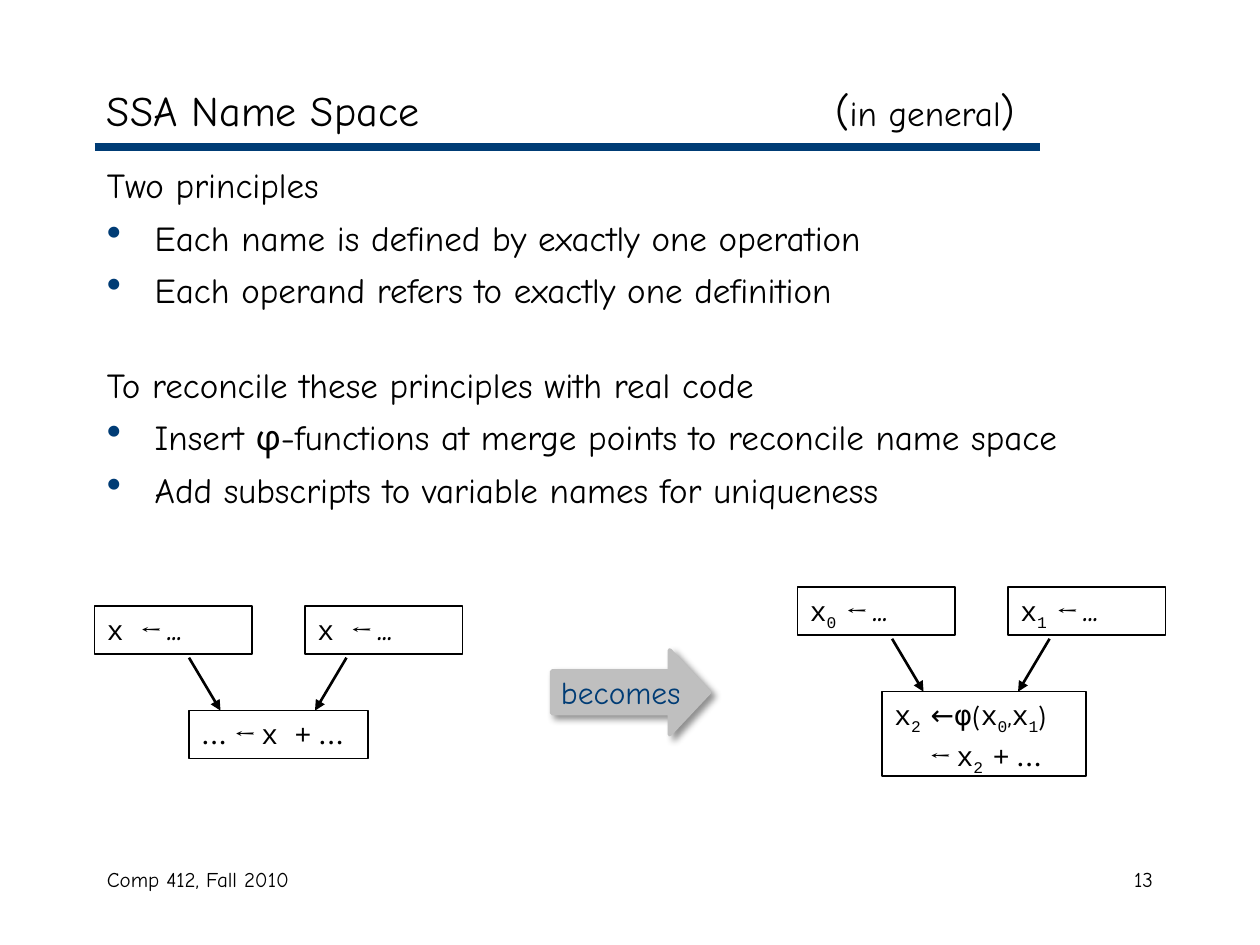
from lxml import etree
from pptx import Presentation
from pptx import util as u
from pptx.dml.color import RGBColor
from pptx.enum import shapes, text
from pptx.oxml import parse_xml
from pptx.oxml.ns import nsdecls, qn

THEME = {
    "ink": "000000", "accent": "003C75", "arrow": "BFBFBF",
    "main": "Comic Neue", "code": "Courier New", "math": "Cambria", "sym": "League Spartan",
    "title": 24, "body": 20, "label": 18, "box": 16, "footer": 12,
}

# Content
TITLE = [("SSA Name Space\t(", "title"), ("in general", "body"), (")", "title")]
BODY = [  # text, bulleted, space before in points
    ("Two principles", False, 0),
    ("Each name is defined by exactly one operation", True, 6),
    ("Each operand refers to exactly one definition", True, 6),
    ("To reconcile these principles with real code", False, 30),
    ("Insert φ-functions at merge points to reconcile name space", True, 6),
    ("Add subscripts to variable names for uniqueness", True, 6),
]
FOOTERS = [  # text, left, width, alignment
    ("Comp 412, Fall 2010", 0.75, 3.17, text.PP_ALIGN.LEFT),
    ("13", 7.17, 2.08, text.PP_ALIGN.RIGHT),
]
# Runs are (text, style): code, sub (lowered code), math (italic), sym, main
ASSIGN = ("← ...", "math")
DIAGRAMS = [
    {"origin": (0.75, 4.81),
     "defs": [[("x ", "code"), ASSIGN], [("x ", "code"), ASSIGN]],
     "merge": (0.75, 1.42, 0.38),  # offset from origin, width, height
     "lines": [[("... ", "sym"), ("← ", "math"), ("x +", "code"), (" ...", "sym")]]},
    {"origin": (6.33, 4.66),
     "defs": [[("x", "code"), ("0 ", "sub"), ASSIGN], [("x", "code"), ("1 ", "sub"), ASSIGN]],
     "merge": (0.67, 1.62, 0.67),
     "lines": [
         [("x", "code"), ("2 ", "sub"), ("←φ(", "sym"), ("x", "code"), ("0", "sub"),
          (",", "main"), ("x", "code"), ("1", "sub"), (")", "sym")],
         [("← ", "math"), ("x", "code"), ("2 ", "sub"), ("+", "code"), (" ...", "sym")]]},
]
DEF_W, DEF_H, DEF_STEP, MERGE_DROP = 1.25, 0.38, 1.67, 0.83
EDGES = [(0.75, 1.0), (2.0, 1.75)]  # start and end x from the origin
EDGE_TOP = 0.41


def color(key):
    return RGBColor.from_string(THEME[key])


def add_run(p, words, size, font="main", ink="ink"):
    r = p.add_run()
    r.text = words
    r.font.name, r.font.size = THEME[font], u.Pt(THEME[size])
    r.font.color.rgb = color(ink)
    return r


def add_code_run(p, words, style):
    r = add_run(p, words, "box", "code" if style == "sub" else style)
    if style == "math":
        r.font.italic = True
    if style == "sub":
        r.font._element.set("baseline", "-25000")


def add_text(s, x, y, w, h, anchor=text.MSO_ANCHOR.TOP):
    tf = s.shapes.add_textbox(*map(u.Inches, (x, y, w, h))).text_frame
    tf.word_wrap = True
    tf.vertical_anchor = anchor
    return tf


def add_line(s, x1, y1, x2, y2, ink, width, arrow=False):
    c = s.shapes.add_connector(shapes.MSO_CONNECTOR.STRAIGHT, *map(u.Inches, (x1, y1, x2, y2)))
    c.line.color.rgb, c.line.width = color(ink), u.Pt(width)
    if arrow:
        etree.SubElement(c.line._get_or_add_ln(), qn("a:tailEnd"), type="triangle")
    etree.SubElement(c._element.spPr, qn("a:effectLst"))


def add_box(s, x, y, w, h, lines):
    sp = s.shapes.add_shape(shapes.MSO_SHAPE.RECTANGLE, *map(u.Inches, (x, y, w, h)))
    sp.shadow.inherit = False
    sp.fill.background()
    sp.line.color.rgb, sp.line.width = color("ink"), u.Pt(0.75)
    tf = sp.text_frame
    tf.word_wrap = True
    tf.vertical_anchor = text.MSO_ANCHOR.TOP
    for i, runs in enumerate(lines):
        p = tf.add_paragraph() if i else tf.paragraphs[0]
        p.alignment = text.PP_ALIGN.LEFT
        if i:
            p.space_before = u.Pt(1.6)
            p._p.get_or_add_pPr().set("marL", str(u.Inches(0.28)))
        for words, style in runs:
            add_code_run(p, words, style)


def add_bullet(pPr):
    clr = etree.SubElement(pPr, qn("a:buClr"))
    etree.SubElement(clr, qn("a:srgbClr"), val=THEME["accent"])
    etree.SubElement(pPr, qn("a:buSzPct"), val="120000")
    etree.SubElement(pPr, qn("a:buChar"), char="•")


prs = Presentation()
prs.slide_width, prs.slide_height = u.Inches(10), u.Inches(7.5)
s = prs.slides.add_slide(prs.slide_layouts[6])

# Title, with its remark at a tab stop, and rule
add_line(s, 0.75, 1.17, 8.25, 1.17, "accent", 4.5)
p = add_text(s, 0.75, 0.58, 8.5, 0.58, text.MSO_ANCHOR.MIDDLE).paragraphs[0]
tabs = etree.SubElement(p._p.get_or_add_pPr(), qn("a:tabLst"))
etree.SubElement(tabs, qn("a:tab"), pos=str(u.Inches(5.78)), algn="l")
for words, size in TITLE:
    add_run(p, words, size)

# Principles
tf = add_text(s, 0.75, 1.25, 8.5, 5.42)
for i, (words, bulleted, before) in enumerate(BODY):
    p = tf.add_paragraph() if i else tf.paragraphs[0]
    pPr = p._p.get_or_add_pPr()
    pPr.set("marL", str(u.Inches(0.38)))
    pPr.set("indent", str(u.Inches(-0.38)))
    if bulleted:
        add_bullet(pPr)
    p.space_before = u.Pt(before)
    add_run(p, words, "body")

# Flow graphs before and after renaming
for d in DIAGRAMS:
    x, y = d["origin"]
    for i, runs in enumerate(d["defs"]):
        add_box(s, x + i * DEF_STEP, y, DEF_W, DEF_H, [runs])
    dx, w, h = d["merge"]
    add_box(s, x + dx, y + MERGE_DROP, w, h, d["lines"])
    for start, end in EDGES:
        add_line(s, x + start, y + EDGE_TOP, x + end, y + MERGE_DROP, "ink", 1.5, arrow=True)

# Block arrow between the graphs
sp = s.shapes.add_shape(shapes.MSO_SHAPE.RIGHT_ARROW, *map(u.Inches, (4.38, 5.16, 1.25, 0.67)))
sp.adjustments[0], sp.adjustments[1] = 0.5, 0.47
sp.fill.solid()
sp.fill.fore_color.rgb = color("arrow")
sp.line.color.rgb, sp.line.width = color("arrow"), u.Pt(2.25)
sp._element.spPr.append(parse_xml(
    f'<a:effectLst {nsdecls("a")}><a:outerShdw blurRad="{u.Pt(4)}" dist="{u.Pt(3)}" dir="2700000">'
    f'<a:srgbClr val="{THEME["ink"]}"><a:alpha val="43000"/></a:srgbClr></a:outerShdw></a:effectLst>'))
sp.text_frame.word_wrap = False
sp.text_frame.vertical_anchor = text.MSO_ANCHOR.MIDDLE
p = sp.text_frame.paragraphs[0]
p.alignment = text.PP_ALIGN.CENTER
add_run(p, "becomes", "label", ink="accent")

# Footer
for words, x, w, align in FOOTERS:
    p = add_text(s, x, 6.83, w, 0.5).paragraphs[0]
    p.alignment = align
    add_run(p, words, "footer")

prs.save("out.pptx")
